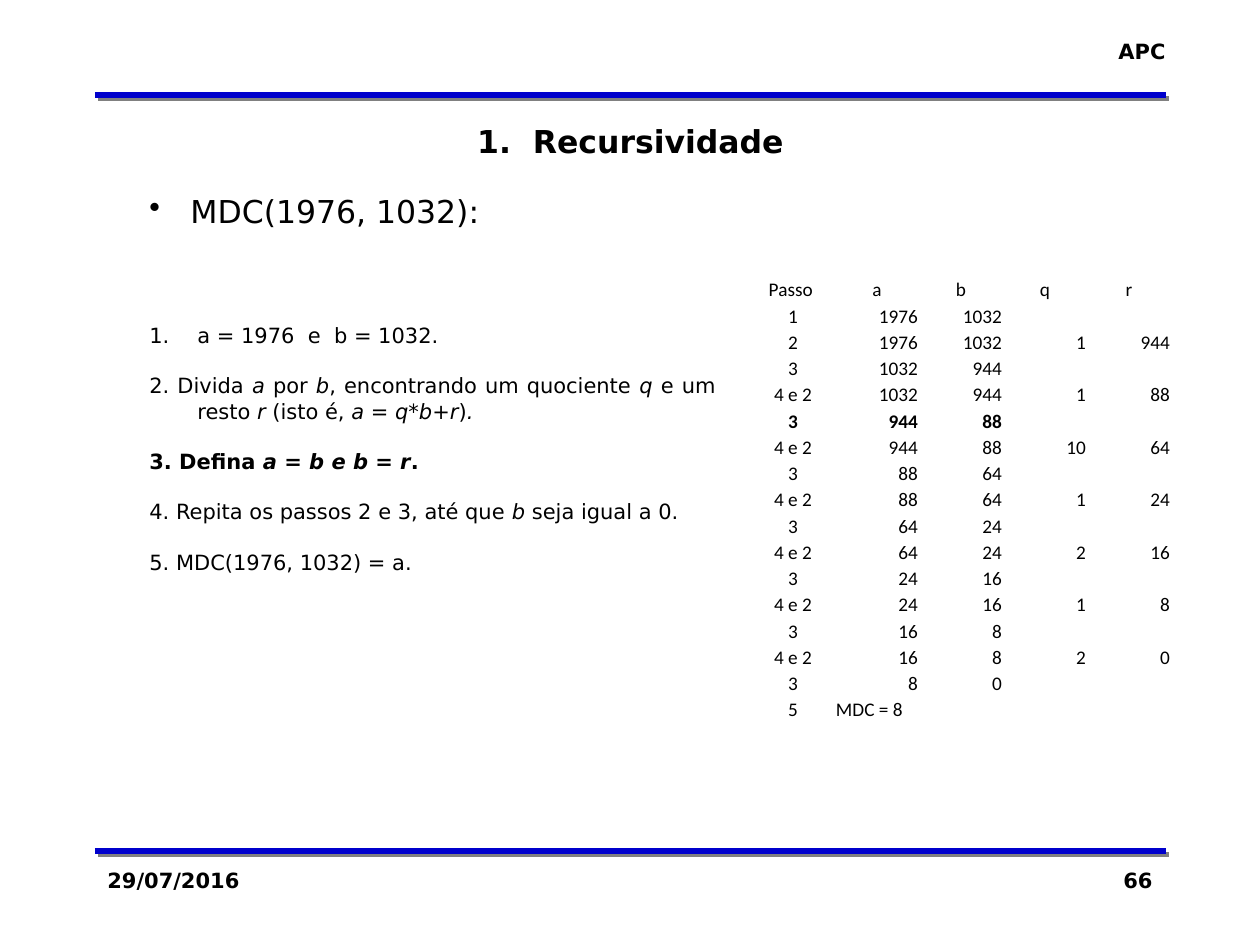
from lxml import etree
from pptx import Presentation
from pptx.dml.color import RGBColor
from pptx.enum.shapes import MSO_CONNECTOR
from pptx.enum.text import MSO_ANCHOR, MSO_AUTO_SIZE, PP_ALIGN
from pptx.oxml.ns import qn
from pptx.util import Pt

LEFT, CENTER, RIGHT = PP_ALIGN.LEFT, PP_ALIGN.CENTER, PP_ALIGN.RIGHT
JUSTIFY = PP_ALIGN.JUSTIFY
STRAIGHT = MSO_CONNECTOR.STRAIGHT
TOP, BOTTOM = MSO_ANCHOR.TOP, MSO_ANCHOR.BOTTOM
NO_AUTOFIT = MSO_AUTO_SIZE.NONE

FONT, TABLE_FONT = "DejaVu Sans", "Calibri"
BLACK, BLUE, GRAY = "000000", "0000CC", "808080"

# Text between underscores is italic; each step: text, bold, space before
STEPS = [
    ("a = 1976  e  b = 1032.", False, 52.8),
    ("2. Divida _a_ por _b_, encontrando um quociente _q_ e um resto _r_ "
     "(isto é, _a = q*b+r_)_._", False, 14.4),
    ("3. Defina _a = b e b = r_.", True, 14.4),
    ("4. Repita os passos 2 e 3, até que _b_ seja igual a 0.", False, 14.4),
    ("5. MDC(1976, 1032) = a.", False, 14.4),
]
TRACE = [
    ("Passo ", "a", "b", "q", "r"),
    ("1", "1976", "1032"),
    ("2", "1976", "1032", "1", "944"),
    ("3", "1032", "944"),
    ("4 e 2", "1032", "944", "1", "88"),
    ("3", "944", "88"),
    ("4 e 2", "944", "88", "10", "64"),
    ("3", "88", "64"),
    ("4 e 2", "88", "64", "1", "24"),
    ("3", "64", "24"),
    ("4 e 2", "64", "24", "2", "16"),
    ("3", "24", "16"),
    ("4 e 2", "24", "16", "1", "8"),
    ("3", "16", "8"),
    ("4 e 2", "16", "8", "2", "0"),
    ("3", "8", "0"),
    ("5", "MDC = 8"),
    (),
]
BOLD_ROW = 5


def px(n):
    return round(n * 914400 / 126)


def rgb(value):
    return RGBColor.from_string(value)


def format_font(font, size, bold=False, italic=False, name=FONT):
    font.name, font.size = name, Pt(size)
    font.bold, font.italic = bold, italic
    font.color.rgb = rgb(BLACK)


def write(tf, text, size, align, bold):
    tf.text = text
    p = tf.paragraphs[0]
    p.alignment = align
    format_font(p.runs[0].font, size, bold)


def add_label(slide, box, text, align=LEFT, wrap=True):
    tf = slide.shapes.add_textbox(*map(px, box)).text_frame
    tf.word_wrap = wrap
    write(tf, text, 12, align, True)


def add_title(slide, box, text):
    sp = slide.shapes.title
    sp.left, sp.top, sp.width, sp.height = map(px, box)
    tf = sp.text_frame
    tf.auto_size, tf.vertical_anchor = NO_AUTOFIT, TOP
    write(tf, text, 18, CENTER, True)


def add_rule(slide, y):
    """Horizontal blue line with a hard gray shadow."""
    line = slide.shapes.add_connector(STRAIGHT, px(95), px(y), px(1166), px(y))
    line.line.color.rgb = rgb(BLUE)
    line.line.width = Pt(3)
    effects = etree.SubElement(line._element.spPr, qn("a:effectLst"))
    shadow = etree.SubElement(effects, qn("a:outerShdw"), blurRad="0",
                              dist=str(Pt(2.8)), dir="2700000",
                              algn="ctr", rotWithShape="0")
    etree.SubElement(shadow, qn("a:srgbClr"), val=GRAY)


def set_hanging(p, indent, tag=None, **marker):
    """Hanging indent, with an optional bullet or number element."""
    pPr = p._p.get_or_add_pPr()
    pPr.set("marL", str(px(indent)))
    pPr.set("indent", str(-px(indent)))
    if tag:
        etree.SubElement(pPr, qn(tag), **marker)


def add_steps(slide):
    tf = slide.shapes.add_textbox(px(137), px(186), px(591), px(437)).text_frame
    tf.word_wrap = True
    write(tf, "MDC(1976, 1032):", 18, JUSTIFY, False)
    set_hanging(tf.paragraphs[0], 41, "a:buChar", char="•")
    for i, (text, bold, gap) in enumerate(STEPS):
        p = tf.add_paragraph()
        if i == 0:
            set_hanging(p, 48, "a:buAutoNum", type="arabicPeriod")
        else:
            set_hanging(p, 48)
        p.alignment, p.space_before = JUSTIFY, Pt(gap)
        for j, part in enumerate(text.split("_")):
            if part:
                r = p.add_run()
                r.text = part
                format_font(r.font, 12, bold, j % 2 == 1)


def fill_cell(cell, text, align, bold):
    cell.fill.background()
    cell.vertical_anchor = BOTTOM
    cell.margin_left = cell.margin_right = cell.margin_top = px(1)
    cell.margin_bottom = 0
    p = cell.text_frame.paragraphs[0]
    if text:
        p.text = text
        p.alignment = align
        format_font(p.runs[0].font, 11, bold, name=TABLE_FONT)
    else:
        etree.SubElement(p._p, qn("a:endParaRPr"), sz="1100")


def add_trace_table(slide):
    n_rows, n_cols = len(TRACE), len(TRACE[0])
    table = slide.shapes.add_table(n_rows, n_cols, px(751), px(276),
                                   px(84 * n_cols), px(473)).table
    table.first_row = table.horz_banding = False
    for i, values in enumerate(TRACE):
        for j in range(n_cols):
            text = values[j] if j < len(values) else ""
            if i == 0 or j == 0:
                align = CENTER
            else:
                align = RIGHT if text.isdigit() else LEFT
            fill_cell(table.cell(i, j), text, align, i == BOLD_ROW)


def main():
    prs = Presentation()
    prs.slide_width, prs.slide_height = px(1260), px(945)
    slide = prs.slides.add_slide(prs.slide_layouts[5])
    for y in (851, 95):
        add_rule(slide, y)
    add_label(slide, (1105, 32, 73, 38), "APC", RIGHT, wrap=False)
    add_label(slide, (95, 861, 262, 63), "29/07/2016")
    add_label(slide, (903, 861, 262, 63), "66", RIGHT)
    add_title(slide, (95, 116, 1071, 50), "1.  Recursividade")
    add_steps(slide)
    add_trace_table(slide)
    prs.save("out.pptx")


if __name__ == "__main__":
    main()
